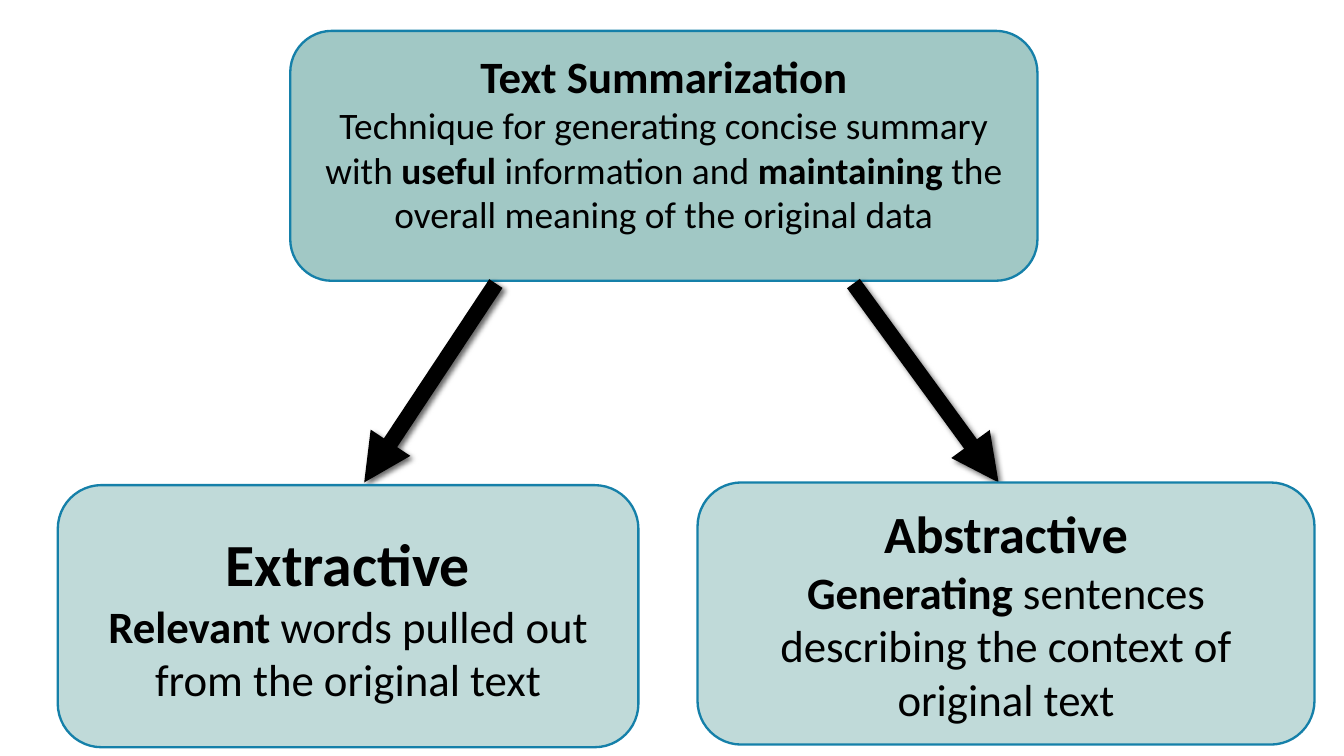
from lxml import etree
from dataclasses import dataclass
from pptx import Presentation
from pptx import util as u
from pptx.dml import color
from pptx.enum import shapes, text
from pptx.oxml import ns

PX = u.Inches(1) // 200


@dataclass(frozen=True)
class Theme:
    font: str = "Calibri"
    ink: str = "000000"
    outline: str = "1580A9"
    parent_fill: str = "A1C8C5"
    child_fill: str = "C0DAD9"
    outline_width: float = 1.25
    arrow_width: float = 8.5
    parent_sizes: tuple = (24, 20)
    extractive_sizes: tuple = (32, 24)
    abstractive_sizes: tuple = (28, 24)


THEME = Theme()


def px(*values):
    return [u.Emu(value * PX) for value in values]


def rgb(value):
    return color.RGBColor.from_string(value)


def add_paragraph(paragraph, pieces, size):
    paragraph.alignment = text.PP_ALIGN.CENTER
    for content, bold in pieces:
        run = paragraph.add_run()
        run.text = content
        run.font.name = THEME.font
        run.font.size = u.Pt(size)
        run.font.bold = bold
        run.font.color.rgb = rgb(THEME.ink)


def add_box(slide, bounds, fill, sizes, title, body, bottom_margin=10):
    shape = slide.shapes.add_shape(shapes.MSO_SHAPE.ROUNDED_RECTANGLE, *px(*bounds))
    shape.shadow.inherit = False
    shape.fill.solid()
    shape.fill.fore_color.rgb = rgb(fill)
    shape.line.color.rgb = rgb(THEME.outline)
    shape.line.width = u.Pt(THEME.outline_width)
    frame = shape.text_frame
    frame.word_wrap = True
    frame.vertical_anchor = text.MSO_ANCHOR.MIDDLE
    frame.margin_bottom = px(bottom_margin)[0]
    add_paragraph(frame.paragraphs[0], [(title, True)], sizes[0])
    add_paragraph(frame.add_paragraph(), body, sizes[1])


def add_shadow(connector):
    effects = etree.SubElement(connector._element.spPr, ns.qn("a:effectLst"))
    shadow = etree.SubElement(
        effects, ns.qn("a:outerShdw"),
        blurRad=str(u.Pt(3)), dist=str(u.Pt(2)), dir="2700000", rotWithShape="0",
    )
    shade = etree.SubElement(shadow, ns.qn("a:srgbClr"), val=THEME.ink)
    etree.SubElement(shade, ns.qn("a:alpha"), val="60000")


def add_arrow(slide, start, end):
    connector = slide.shapes.add_connector(
        shapes.MSO_CONNECTOR.STRAIGHT, *px(*start, *end)
    )
    connector.line.color.rgb = rgb(THEME.ink)
    connector.line.width = u.Pt(THEME.arrow_width)
    etree.SubElement(connector.line._get_or_add_ln(), ns.qn("a:tailEnd"), type="triangle")
    add_shadow(connector)


def main():
    presentation = Presentation()
    presentation.slide_width, presentation.slide_height = px(2000, 1125)
    slide = presentation.slides.add_slide(presentation.slide_layouts[6])

    add_box(
        slide, (432, 46, 1112, 372), THEME.parent_fill, THEME.parent_sizes,
        "Text Summarization",
        [
            ("Technique for generating concise summary with ", False),
            ("useful", True),
            (" information and ", False),
            ("maintaining", True),
            (" the overall meaning of the original data", False),
        ],
        bottom_margin=50,
    )
    add_arrow(slide, (738, 422), (542, 718))
    add_arrow(slide, (1270, 422), (1486, 718))
    add_box(
        slide, (86, 722, 864, 390), THEME.child_fill, THEME.extractive_sizes,
        "Extractive",
        [("Relevant", True), (" words pulled out from the original text", False)],
    )
    add_box(
        slide, (1038, 718, 918, 390), THEME.child_fill, THEME.abstractive_sizes,
        "Abstractive",
        [
            ("Generating", True),
            (" sentences describing the context of original text", False),
        ],
    )
    presentation.save("out.pptx")


if __name__ == "__main__":
    main()
